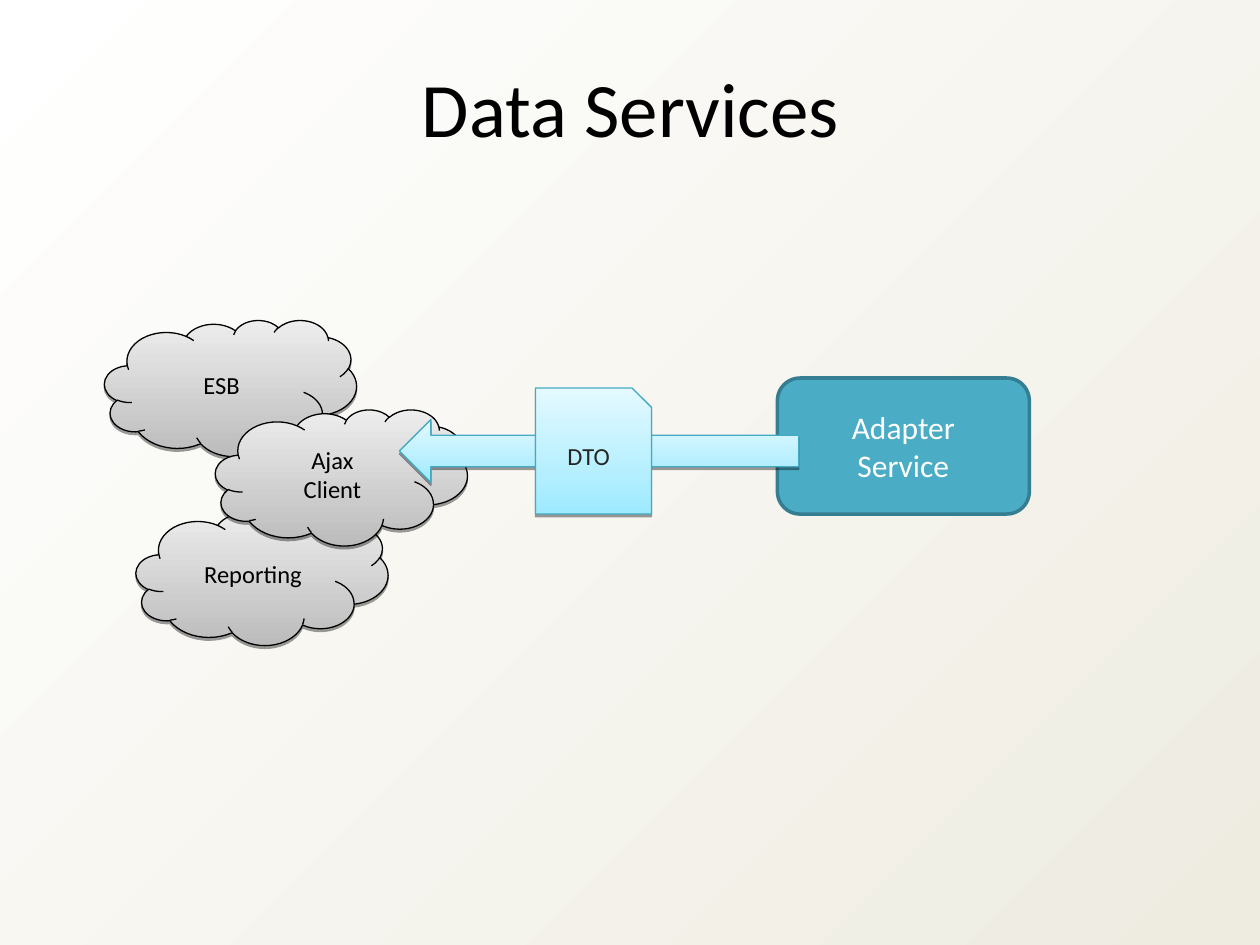
from dataclasses import dataclass

from lxml import etree
from pptx import Presentation
from pptx.dml.color import RGBColor
from pptx.enum.shapes import MSO_SHAPE
from pptx.enum.text import MSO_ANCHOR, PP_ALIGN
from pptx.oxml.ns import qn
from pptx.util import Inches, Pt

CLOUD = MSO_SHAPE.CLOUD
ROUNDED = MSO_SHAPE.ROUNDED_RECTANGLE
LEFT_ARROW = MSO_SHAPE.LEFT_ARROW
SNIPPED = MSO_SHAPE.SNIP_1_RECTANGLE
CENTER = PP_ALIGN.CENTER
MIDDLE = MSO_ANCHOR.MIDDLE
TOP = MSO_ANCHOR.TOP


@dataclass(frozen=True)
class Theme:
    font: str = "Calibri"
    title_size: int = 44
    service_size: int = 18
    label_size: int = 14
    black: str = "000000"
    white: str = "FFFFFF"
    dark: str = "262626"
    teal: str = "4BACC6"
    teal_edge: str = "357D91"
    aqua_edge: str = "46AAC5"
    backdrop: tuple = ("FFFFFF", "EEECE1")
    gray: tuple = ("BCBCBC", "EDEDED")
    aqua: tuple = ("9EEAFF", "E4F9FF")


THEME = Theme()


def rgb(color):
    return RGBColor.from_string(color)


def set_gradient(fill, colors, angle):
    fill.gradient()
    fill.gradient_angle = angle
    for stop, color, position in zip(fill.gradient_stops, colors, (0, 1)):
        stop.color.rgb = rgb(color)
        stop.position = position


def add_drop_shadow(shape):
    effects = shape._element.spPr.find(qn("a:effectLst"))
    shadow = etree.SubElement(effects, qn("a:outerShdw"), blurRad="0",
                              dist=str(Pt(1.6)), dir="5400000", rotWithShape="0")
    color = etree.SubElement(shadow, qn("a:srgbClr"), val=THEME.black)
    etree.SubElement(color, qn("a:alpha"), val="38000")


def write(shape, text, size, color, anchor=MIDDLE):
    frame = shape.text_frame
    frame.word_wrap = True
    frame.vertical_anchor = anchor
    frame.text = text
    para = frame.paragraphs[0]
    para.alignment = CENTER
    for span in para.runs:
        span.font.name = THEME.font
        span.font.size = Pt(size)
        span.font.color.rgb = rgb(color)


def add_block(page, kind, box, edge, edge_width):
    shape = page.shapes.add_shape(kind, *map(Inches, box))
    shape.shadow.inherit = False
    shape.line.color.rgb = rgb(edge)
    shape.line.width = Pt(edge_width)
    return shape


def add_glossy(page, kind, box, colors, edge):
    shape = add_block(page, kind, box, edge, 0.75)
    set_gradient(shape.fill, colors, 90)
    add_drop_shadow(shape)
    return shape


def add_title(page, box):
    title = page.shapes.add_textbox(*map(Inches, box))
    write(title, "Data Services", THEME.title_size, THEME.black, TOP)


def add_service(page, box):
    service = add_block(page, ROUNDED, box, THEME.teal_edge, 2)
    service.fill.solid()
    service.fill.fore_color.rgb = rgb(THEME.teal)
    write(service, "Adapter\vService", THEME.service_size, THEME.white)


def add_clients(page, box):
    """Overlapping clouds, from back to front, offset inside the box."""
    left, top, width, height = box
    clients = (("ESB", 0, 0), ("Reporting", 0.25, 1.5), ("Ajax\vClient", 0.88, 0.71))
    for label, right, down in clients:
        cloud = add_glossy(page, CLOUD, (left + right, top + down, width, height),
                           THEME.gray, THEME.black)
        write(cloud, label, THEME.label_size, THEME.black)


def add_transfer(page, box):
    """Arrow filling the box, with the data object resting on it."""
    left, top, width, height = box
    add_glossy(page, LEFT_ARROW, box, THEME.aqua, THEME.aqua_edge)
    data_object = add_glossy(page, SNIPPED, (left + 1.08, top - 0.25, 0.92, 2 * height),
                             THEME.aqua, THEME.aqua_edge)
    write(data_object, "DTO", THEME.label_size, THEME.dark)


def main():
    deck = Presentation()
    deck.slide_width, deck.slide_height = Inches(10), Inches(7.5)
    page = deck.slides.add_slide(deck.slide_layouts[6])
    set_gradient(page.background.fill, THEME.backdrop, 315)

    add_service(page, (6.17, 3, 2, 1.08))
    add_title(page, (0.17, 0.43, 9.67, 0.84))
    add_clients(page, (0.83, 2.54, 2, 1.08))
    add_transfer(page, (3.17, 3.33, 3.17, 0.5))
    deck.save("out.pptx")


if __name__ == "__main__":
    main()
